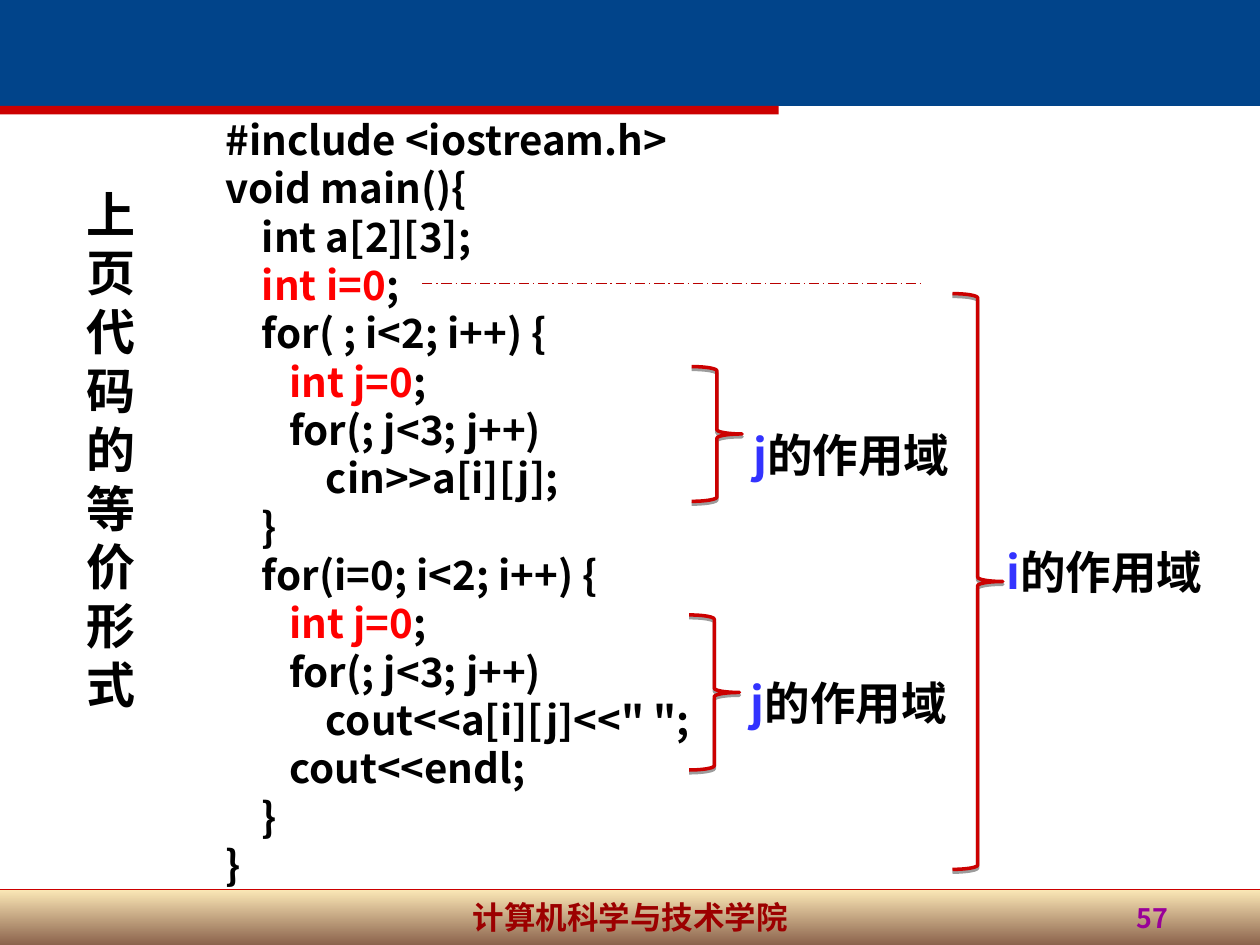
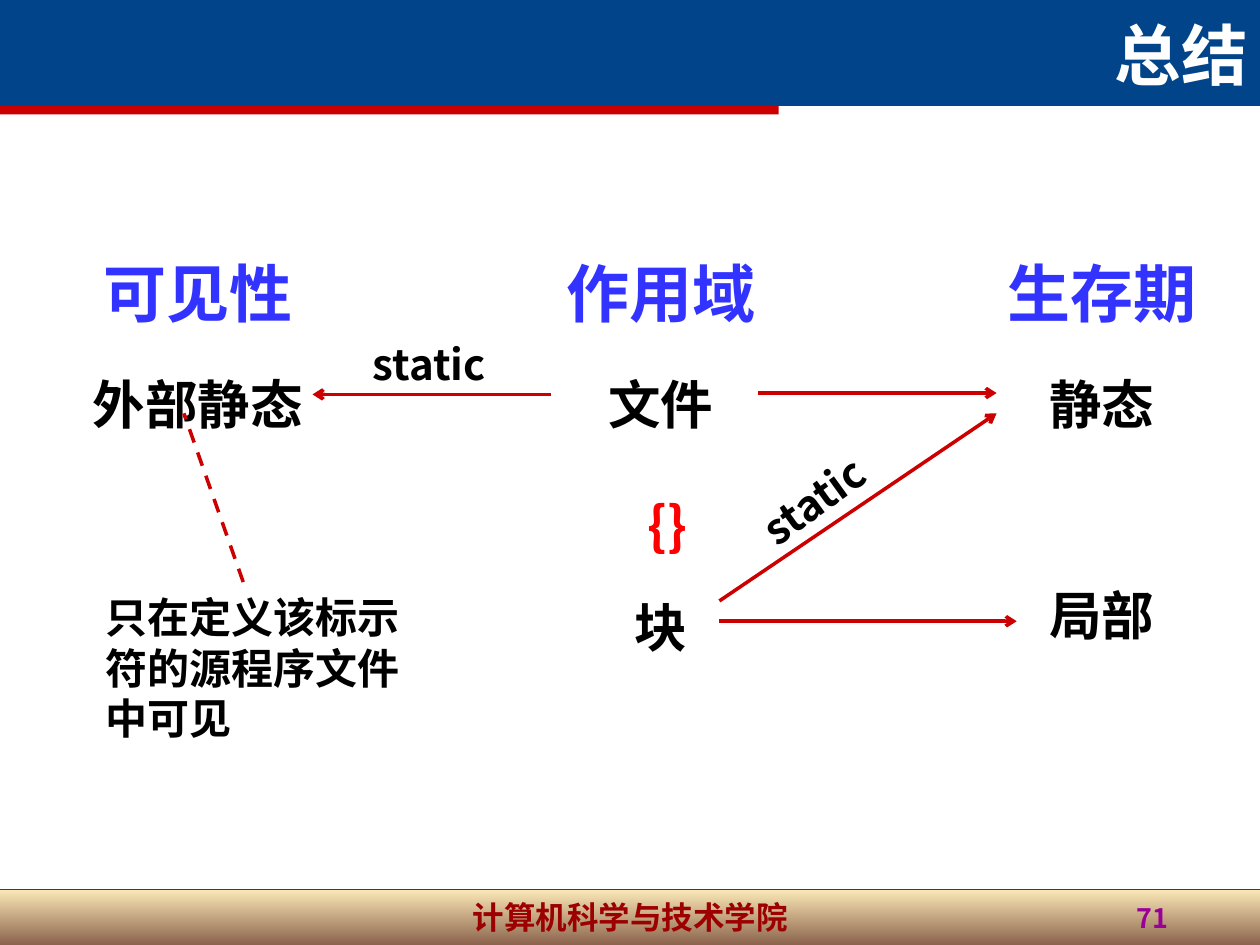
from dataclasses import dataclass

from lxml.etree import SubElement
from pptx import Presentation
from pptx.dml.color import RGBColor
from pptx.enum.dml import MSO_LINE
from pptx.enum.shapes import MSO_CONNECTOR, MSO_SHAPE
from pptx.enum.text import MSO_ANCHOR, PP_ALIGN
from pptx.oxml.ns import qn
from pptx.util import Pt


@dataclass(frozen=True)
class Theme:
    font: str = "Noto Sans CJK SC"
    black: str = "000000"
    white: str = "FFFFFF"
    navy: str = "01448A"
    red: str = "CC0000"
    dark_red: str = "B90000"
    bright_red: str = "FF0000"
    blue: str = "3333FF"
    school: str = "9C0000"
    number: str = "990099"
    sand: str = "FCE2A0"
    brown: str = "663012"
    number_size: float = 15.3
    school_size: float = 18
    code_size: float = 23
    note_size: float = 24
    scope_size: float = 26
    side_size: float = 28
    term_size: float = 30
    heading_size: float = 36
    title_size: float = 38
    leading: float = 1.2
    baseline_drop: float = 0.08
    inset: float = 3.6


THEME = Theme()
WIDTH, HEIGHT = 720, 540
HEADER_HEIGHT = 60.5
FOOTER_TOP, FOOTER_HEIGHT = 508.3, 31.7


@dataclass(frozen=True)
class Box:
    left: float
    top: float
    width: float
    height: float

    def lengths(self) -> list:
        return [Pt(value) for value in (self.left, self.top, self.width, self.height)]


@dataclass(frozen=True)
class Span:
    text: str
    color: str = THEME.black


@dataclass(frozen=True)
class Scope:
    variable: str
    brace: Box
    label_left: float
    label_top: float


@dataclass(frozen=True)
class Link:
    start: tuple
    end: tuple
    color: str = THEME.red
    weight: float = 2
    dash: MSO_LINE | None = None
    arrow: bool = False


@dataclass(frozen=True)
class Column:
    left: float
    width: float
    terms: tuple
    last_height: float = 63.7


SCOPES = (
    Scope("j", Box(395.3, 209.5, 28.8, 77), 423.4, 238.3),
    Scope("j", Box(393.8, 351.4, 28.8, 88.6), 421.9, 380.2),
    Scope("i", Box(544.3, 167.8, 28.8, 329), 568.1, 305.3),
)

CODE = """#include <iostream.h>
void main(){
    int a[2][3];
    int i=0;
    for( ; i<2; i++) {
       int j=0;
       for(; j<3; j++)
           cin>>a[i][j];
    }
    for(i=0; i<2; i++) {
       int j=0;
       for(; j<3; j++)
           cout<<a[i][j]<<" ";
       cout<<endl;
    }
}"""

COLUMNS = (
    Column(36.7, 152.6, ("可见性", "外部静态", "", "")),
    Column(303.1, 149, ("作用域", "文件", "", "块")),
    Column(553, 153.4, ("生存期", "静态", "", "局部"), 79.2),
)

LINKS = (
    Link((433.4, 224.6), (569.5, 224.6), arrow=True),
    Link((411.1, 355), (581, 355), arrow=True),
    Link((411.1, 343.4), (569.5, 236.2), arrow=True),
    Link((314.6, 225.4), (178.6, 225.4), arrow=True),
    Link((139, 332.6), (105.1, 236.2), dash=MSO_LINE.DASH),
)


def rgb(color: str) -> RGBColor:
    return RGBColor.from_string(color)


def write_text(frame, text, *, size: float, color: str = THEME.black,
               align=PP_ALIGN.LEFT, leading: float | None = None) -> None:
    lines = [[Span(text, color)]] if isinstance(text, str) else text
    for index, spans in enumerate(lines):
        para = frame.paragraphs[0] if index == 0 else frame.add_paragraph()
        para.alignment = align
        if leading:
            para.line_spacing = Pt(size * leading)
        for span in spans:
            run = para.add_run()
            run.text = span.text
            run.font.size = Pt(size)
            run.font.bold = True
            run.font.name = THEME.font
            run.font.color.rgb = rgb(span.color)
            SubElement(run.font._element, qn("a:ea"), typeface=THEME.font)


def add_text(page, box: Box, text, *, size: float, wrap: bool = True,
             anchor=MSO_ANCHOR.TOP, rotation: float = 0, **style):
    shape = page.shapes.add_textbox(*box.lengths())
    shape.rotation = rotation
    frame = shape.text_frame
    frame.word_wrap = wrap
    frame.vertical_anchor = anchor
    drop = size * THEME.baseline_drop
    frame.margin_top = Pt(THEME.inset + drop)
    frame.margin_bottom = Pt(THEME.inset - drop)
    write_text(frame, text, size=size, leading=THEME.leading, **style)
    return shape


def add_band(page, box: Box, color: str | None = None):
    band = page.shapes.add_shape(MSO_SHAPE.RECTANGLE, *box.lengths())
    band.shadow.inherit = False
    band.line.fill.background()
    if color:
        band.fill.solid()
        band.fill.fore_color.rgb = rgb(color)
    return band


def add_link(page, link: Link) -> None:
    ends = [Pt(value) for value in link.start + link.end]
    connector = page.shapes.add_connector(MSO_CONNECTOR.STRAIGHT, *ends)
    connector.line.color.rgb = rgb(link.color)
    connector.line.width = Pt(link.weight)
    if link.dash:
        connector.line.dash_style = link.dash
    properties = connector._element.spPr
    if link.arrow:
        SubElement(properties.find(qn("a:ln")), qn("a:tailEnd"), type="arrow")
    SubElement(properties, qn("a:effectLst"))


def add_scope(page, scope: Scope) -> None:
    brace = page.shapes.add_shape(MSO_SHAPE.RIGHT_BRACE, *scope.brace.lengths())
    brace.fill.background()
    brace.line.color.rgb = rgb(THEME.red)
    brace.line.width = Pt(2)
    brace.shadow.inherit = False
    effects = brace._element.spPr.find(qn("a:effectLst"))
    shadow = SubElement(effects, qn("a:outerShdw"), blurRad="0",
                        dist=str(Pt(1.6)), dir="5400000", rotWithShape="0")
    tint = SubElement(shadow, qn("a:srgbClr"), val=THEME.black)
    SubElement(tint, qn("a:alpha"), val="38000")
    add_text(page, Box(scope.label_left, scope.label_top, 132.5, 38.9),
             [[Span(scope.variable, THEME.blue), Span("的作用域")]],
             size=THEME.scope_size, wrap=False)


def add_column(page, column: Column) -> None:
    heights = [63.7] * 3 + [column.last_height]
    box = Box(column.left, 133.9, column.width, sum(heights))
    table = page.shapes.add_table(len(heights), 1, *box.lengths()).table
    table.first_row = False
    table.horz_banding = False
    for index, (term, height) in enumerate(zip(column.terms, heights)):
        table.rows[index].height = Pt(height)
        cell = table.cell(index, 0)
        cell.fill.background()
        cell.vertical_anchor = MSO_ANCHOR.TOP if height > 70 else MSO_ANCHOR.MIDDLE
        if term:
            write_text(cell.text_frame, term, align=PP_ALIGN.CENTER,
                       size=THEME.term_size if index else THEME.heading_size,
                       color=THEME.black if index else THEME.blue)


def add_page(deck, number: int):
    page = deck.slides.add_slide(deck.slide_layouts[6])
    footer = add_band(page, Box(0, FOOTER_TOP, WIDTH, FOOTER_HEIGHT))
    footer.fill.gradient()
    footer.fill.gradient_angle = 270
    for stop, color, position in zip(footer.fill.gradient_stops,
                                     (THEME.sand, THEME.brown), (0, 1)):
        stop.color.rgb = rgb(color)
        stop.position = position
    for tint in footer._element.spPr.iter(qn("a:srgbClr")):
        SubElement(tint, qn("a:alpha"), val="75000")
    add_link(page, Link((0, FOOTER_TOP), (WIDTH, FOOTER_TOP), weight=0.25))
    add_text(page, Box(246.2, FOOTER_TOP, 228.2, FOOTER_HEIGHT), "计算机科学与技术学院",
             size=THEME.school_size, color=THEME.school, align=PP_ALIGN.CENTER)
    add_band(page, Box(0, 0, WIDTH, HEADER_HEIGHT), THEME.navy)
    add_band(page, Box(0, HEADER_HEIGHT, 445, 5), THEME.red)
    add_text(page, Box(518.4, 510.5, 156.2, FOOTER_HEIGHT), str(number),
             size=THEME.number_size, color=THEME.number, align=PP_ALIGN.RIGHT)
    return page


def code_spans(line: str) -> list:
    declaration = line.strip().removesuffix(";")
    if declaration not in ("int i=0", "int j=0"):
        return [Span(line)]
    indent, _, ending = line.partition(declaration)
    return [Span(indent), Span(declaration, THEME.bright_red), Span(ending)]


def build_scope_page(deck) -> None:
    page = add_page(deck, 57)
    add_text(page, Box(121.7, HEADER_HEIGHT, 323.3, 448.6),
             [code_spans(line) for line in CODE.splitlines()], size=THEME.code_size)
    add_text(page, Box(42.5, 99.4, 54, 310.3), "上页代码的等价形式", size=THEME.side_size)
    for scope in SCOPES:
        add_scope(page, scope)
    add_link(page, Link((241.2, 162), (526.3, 162), THEME.dark_red, 0.75,
                        MSO_LINE.LONG_DASH_DOT))


def build_summary_page(deck) -> None:
    page = add_page(deck, 71)
    add_text(page, Box(223.9, 0, 496.1, 54), "总结", size=THEME.title_size,
             color=THEME.white, align=PP_ALIGN.RIGHT, anchor=MSO_ANCHOR.BOTTOM)
    for column in COLUMNS:
        add_column(page, column)
    for link in LINKS:
        add_link(page, link)
    for left, top, rotation in ((424.1, 265.7, 324.1), (205.9, 187.9, 0)):
        add_text(page, Box(left, top, 81.4, 36), "static", size=THEME.note_size,
                 wrap=False, rotation=rotation)
    add_text(page, Box(53.3, 332.6, 193, 93.6), "只在定义该标示符的源程序文件中可见",
             size=THEME.note_size)
    add_text(page, Box(362.9, 275.8, 38.2, 43.2), "{}", size=THEME.term_size,
             color=THEME.bright_red, wrap=False)


def main() -> None:
    deck = Presentation()
    deck.slide_width, deck.slide_height = Pt(WIDTH), Pt(HEIGHT)
    build_scope_page(deck)
    build_summary_page(deck)
    deck.save("out.pptx")


if __name__ == "__main__":
    main()
